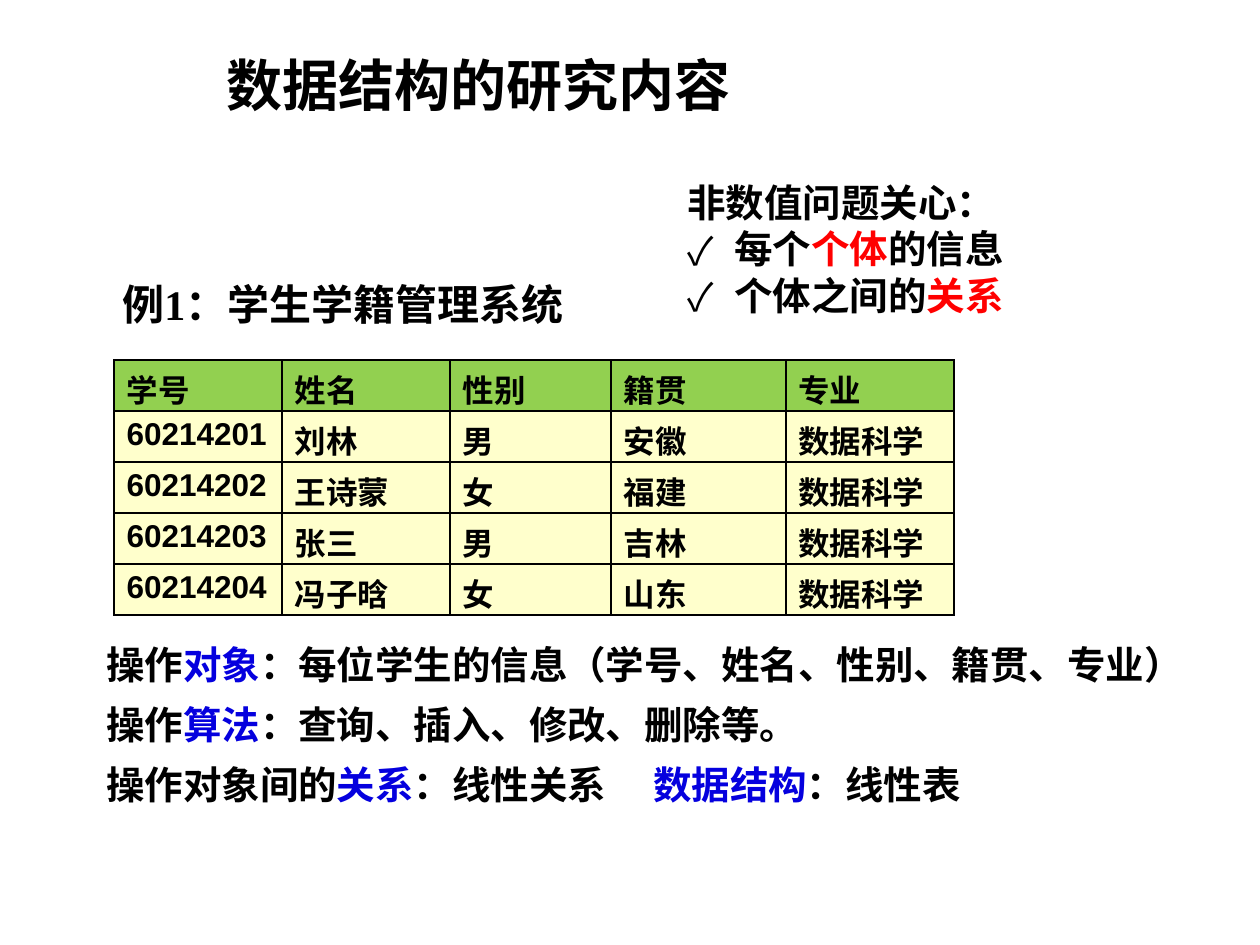
from dataclasses import dataclass
from typing import Optional

from pptx import Presentation
from pptx.dml.color import RGBColor
from pptx.enum.text import MSO_ANCHOR, PP_ALIGN
from pptx.oxml import parse_xml
from pptx.oxml.ns import nsdecls
from pptx.util import Pt

EMU_PER_PX = 914400 // 126
BLACK, RED, BLUE, GREEN, CREAM = "000000", "FF0000", "0500DE", "92D050", "FFFFCC"
SANS, SERIF, CJK = "Arial", "Times New Roman", "Noto Sans CJK SC"


@dataclass(frozen=True)
class Box:
    left: int
    top: int
    width: int
    height: int


@dataclass(frozen=True)
class Words:
    text: str
    color: str = BLACK
    tracking: int = 0


@dataclass(frozen=True)
class Line:
    runs: list[Words]
    bullet: Optional[str] = None


CONCERNS = [
    Line([Words("非数值问题关心：")]),
    Line([Words("每个"), Words("个体", RED), Words("的信息")], bullet="✓"),
    Line([Words("个体之间的"), Words("关系", RED)], bullet="✓"),
]
OPERATIONS = [
    Line([Words("操作"), Words("对象", BLUE),
          Words("：每位学生的信息（学号、姓名、性别、籍贯、专业）")]),
    Line([Words("操作"), Words("算法", BLUE), Words("：查询、插入、修改、删除等。")]),
    Line([Words("操作对象间的"), Words("关系", BLUE), Words("：线性关系"),
          Words(" ", tracking=22), Words("数据结构", BLUE), Words("：线性表")]),
]
STUDENTS = [
    ["学号", "姓名", "性别", "籍贯", "专业"],
    ["60214201", "刘林", "男", "安徽", "数据科学"],
    ["60214202", "王诗蒙", "女", "福建", "数据科学"],
    ["60214203", "张三", "男", "吉林", "数据科学"],
    ["60214204", "冯子晗", "女", "山东", "数据科学"],
]
COLUMN_WIDTHS = [168, 168, 161, 175, 168]
ROW_HEIGHT = 51


def px(length: int) -> int:
    """Turn pixels into EMU."""
    return length * EMU_PER_PX


def rgb(value: str) -> RGBColor:
    """Turn a hex string into a colour."""
    return RGBColor.from_string(value)


def place(shape, box: Box) -> None:
    """Move and size a shape."""
    shape.left, shape.top = px(box.left), px(box.top)
    shape.width, shape.height = px(box.width), px(box.height)


def mark_paragraph(paragraph, bullet: Optional[str]) -> None:
    """Give a paragraph its bullet and hanging indent, or neither."""
    properties = paragraph._p.get_or_add_pPr()
    hang = px(47) if bullet else 0
    properties.set("marL", str(hang))
    properties.set("indent", str(-hang))
    if bullet:
        properties.append(parse_xml(f'<a:buFont {nsdecls("a")} typeface="{CJK}"/>'))
        properties.append(parse_xml(f'<a:buChar {nsdecls("a")} char="{bullet}"/>'))
    else:
        properties.append(parse_xml(f'<a:buNone {nsdecls("a")}/>'))


def write(frame, lines: list[Line], *, size: int, font: str, spacing: float = 1.0,
          anchor: MSO_ANCHOR = MSO_ANCHOR.TOP) -> None:
    """Fill a text frame with formatted bold lines."""
    frame.word_wrap = True
    frame.vertical_anchor = anchor
    for index, line in enumerate(lines):
        paragraph = frame.paragraphs[0] if index == 0 else frame.add_paragraph()
        mark_paragraph(paragraph, line.bullet)
        paragraph.alignment = PP_ALIGN.LEFT
        paragraph.line_spacing = spacing
        paragraph.space_before = paragraph.space_after = Pt(0)
        for words in line.runs:
            run = paragraph.add_run()
            run.text = words.text
            run.font.size, run.font.name, run.font.bold = Pt(size), font, True
            run.font.color.rgb = rgb(words.color)
            if words.tracking:
                run._r.get_or_add_rPr().set("spc", str(words.tracking * 100))


def border_cell(cell) -> None:
    """Draw a one-point black line on each side of a cell."""
    properties = cell._tc.get_or_add_tcPr()
    for position, side in enumerate(("lnL", "lnR", "lnT", "lnB")):
        properties.insert(position, parse_xml(
            f'<a:{side} {nsdecls("a")} w="{Pt(1)}"><a:solidFill>'
            f'<a:srgbClr val="{BLACK}"/></a:solidFill></a:{side}>'))


def draw_students(slide, left: int, top: int) -> None:
    """Draw the table of student records."""
    table = slide.shapes.add_table(
        len(STUDENTS), len(COLUMN_WIDTHS), px(left), px(top),
        px(sum(COLUMN_WIDTHS)), px(ROW_HEIGHT * len(STUDENTS))).table
    for column, width in zip(table.columns, COLUMN_WIDTHS):
        column.width = px(width)
    for row_index, record in enumerate(STUDENTS):
        table.rows[row_index].height = px(ROW_HEIGHT)
        for column_index, value in enumerate(record):
            cell = table.cell(row_index, column_index)
            cell.fill.solid()
            cell.fill.fore_color.rgb = rgb(CREAM if row_index else GREEN)
            cell.margin_bottom = 0
            border_cell(cell)
            write(cell.text_frame, [Line([Words(value)])], size=18, font=SANS)


def main() -> None:
    """Build the slide and save it."""
    deck = Presentation()
    deck.slide_width, deck.slide_height = px(1260), px(945)
    slide = deck.slides.add_slide(deck.slide_layouts[1])

    title = slide.shapes.title
    place(title, Box(214, 44, 764, 81))
    write(title.text_frame, [Line([Words("数据结构的研究内容")])],
          size=32, font=CJK, anchor=MSO_ANCHOR.MIDDLE)

    concerns = slide.placeholders[1]
    place(concerns, Box(675, 173, 536, 152))
    write(concerns.text_frame, CONCERNS, size=22, font=SANS)

    example = slide.shapes.add_textbox(px(110), px(272), px(566), px(63))
    write(example.text_frame, [Line([Words("例1：学生学籍管理系统")])],
          size=24, font=SERIF, anchor=MSO_ANCHOR.MIDDLE)

    operations = slide.shapes.add_textbox(px(94), px(621), px(1132), px(194))
    write(operations.text_frame, OPERATIONS, size=22, font=SERIF, spacing=1.3)

    draw_students(slide, 114, 360)
    deck.save("out.pptx")


if __name__ == "__main__":
    main()
